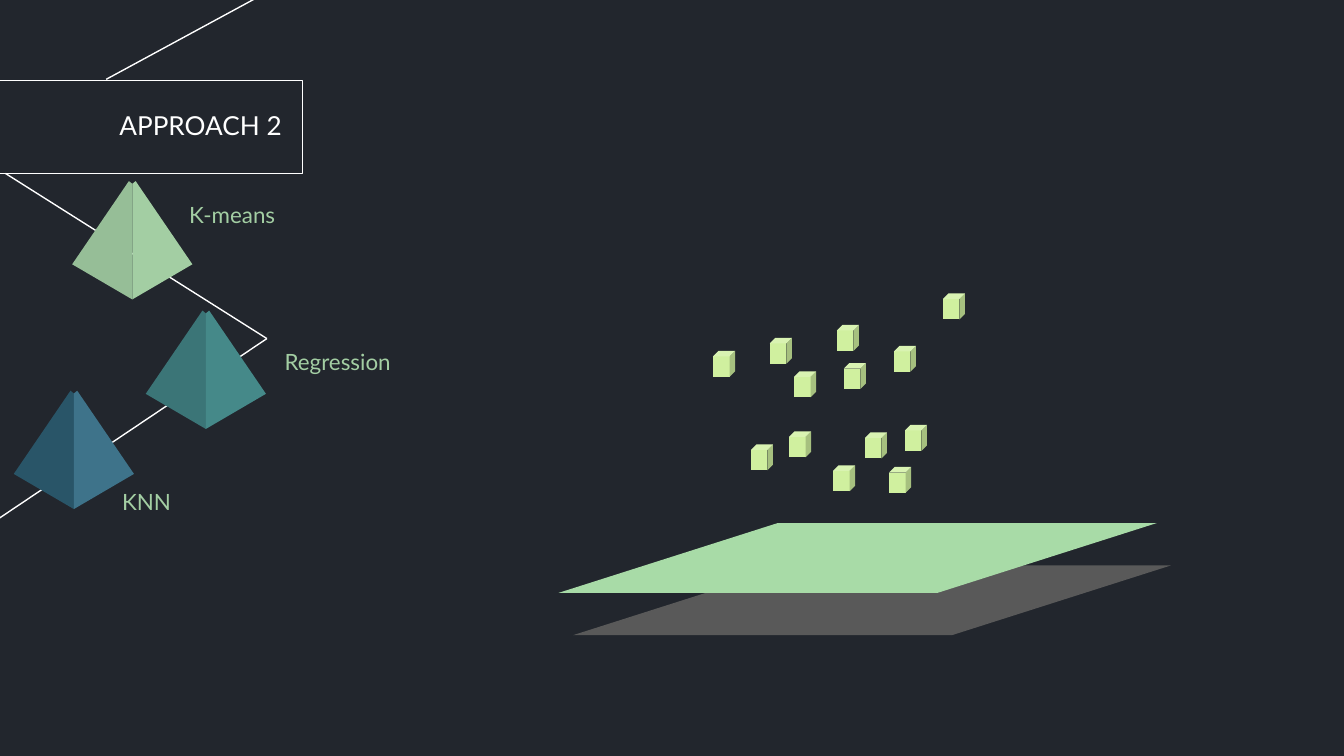
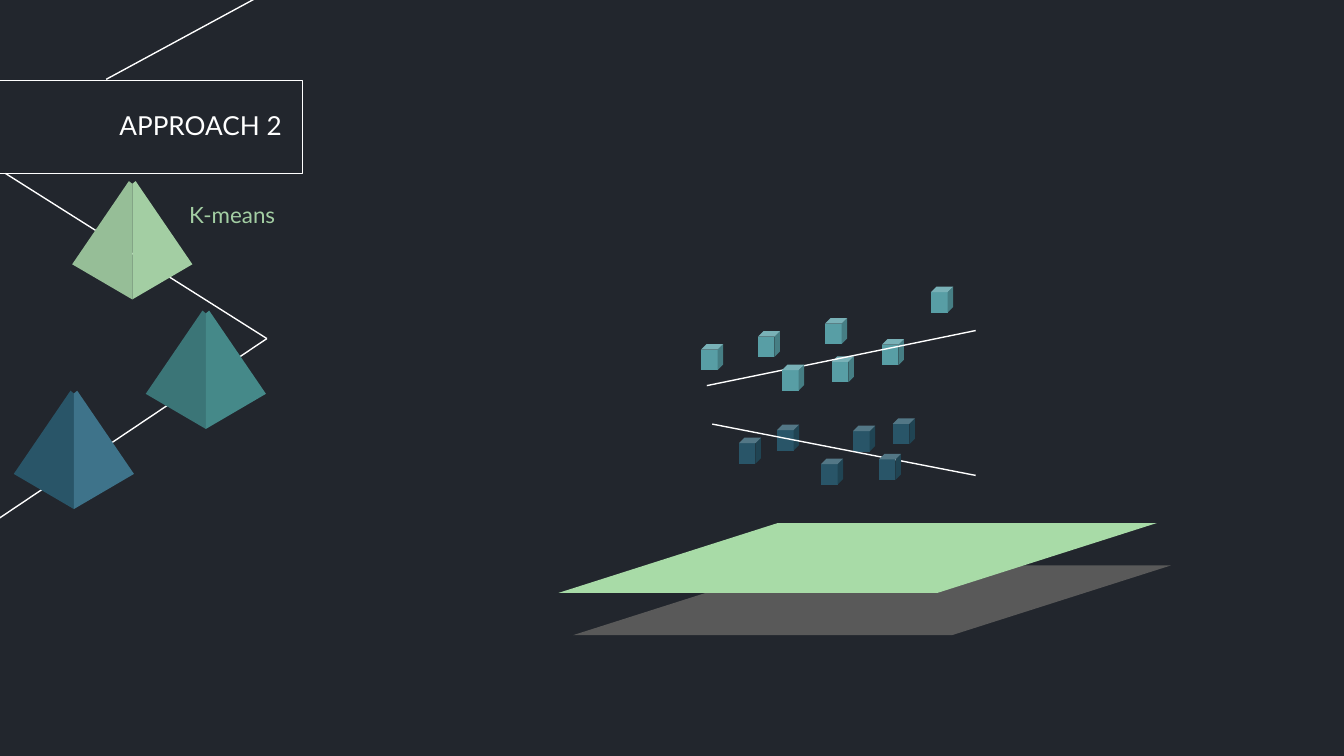
from lxml.etree import SubElement
from pptx import Presentation
from pptx.dml.color import RGBColor
from pptx.enum.shapes import MSO_CONNECTOR, MSO_SHAPE
from pptx.enum.text import MSO_ANCHOR, MSO_AUTO_SIZE
from pptx.oxml.ns import qn
from pptx.util import Pt

FONT = "Lato"
COLORS = {
    "night": "22262D", "white": "FFFFFF", "label": "A3CEA3",
    "slab": "A8DBA7", "slab_shade": "595959",
    "lime": "D0F09F", "teal": "589EA5", "navy": "295568",
    "kmeans_left": "96BE97", "kmeans_right": "A3CEA3",
    "regression_left": "3B7577", "regression_right": "458989",
    "knn_left": "295568", "knn_right": "3E738A",
}

PATH_LINES = [
    ((2.9, 92.9), (143, 181.4)),
    ((143, 181.4), (-59.8, 317.5)),
    ((146, -5.8), (56.9, 42.5)),
]
PYRAMIDS = [("kmeans", 70.9, 97), ("regression", 110.3, 166.4), ("knn", 39.6, 209.3)]
PYRAMID_FACE = [(1.8, 0), (32.2, 44.6), (0, 63.4), (0, 1.5)]
LABELS = [("K-means", 94.3, 104.4), ("Regression", 145.4, 182.9), ("KNN", 58.3, 257.8)]

UPPER_CUBES = [(382, 188), (412.5, 181), (448.4, 174.1), (452.1, 194.5),
               (505.2, 157.2), (478.9, 185.3)]
UPPER_FRONT = (425.4, 199)
LOWER_CUBES = [(463.4, 231.7), (484.8, 227.7), (422.7, 231.1), (402.3, 238.1),
               (446.3, 249.3)]
LOWER_FRONT = (476.3, 250.2)
LOWER_FRONT_FITTED = (470.9, 243.2)
FITTED_SHIFT = (-6.4, -3.6)
UPPER_TREND = ((378.7, 206.6), (522.7, 177.1))
LOWER_TREND = ((381.6, 227.2), (522.7, 254.7))


def color(name):
    """Return the named colour."""
    return RGBColor.from_string(COLORS[name])


def paint(shape, fill):
    """Give a shape a flat fill with no outline or shadow."""
    shape.shadow.inherit = False
    shape.fill.solid()
    shape.fill.fore_color.rgb = color(fill)
    shape.line.fill.background()


def add_line(page, start, end):
    """Draw a thin white line between two points."""
    line = page.shapes.add_connector(
        MSO_CONNECTOR.STRAIGHT, *(Pt(value) for value in start + end))
    line.line.color.rgb = color("white")
    line.line.width = Pt(0.75)
    SubElement(line._element.spPr, qn("a:effectLst"))


def add_text(page, text, left, top, width, height, size, shade):
    """Add a one-line text box and return it."""
    box = page.shapes.add_textbox(Pt(left), Pt(top), Pt(width), Pt(height))
    box.text_frame.word_wrap = True
    span = box.text_frame.paragraphs[0].add_run()
    span.text = text
    span.font.name = FONT
    span.font.size = Pt(size)
    span.font.color.rgb = color(shade)
    return box


def add_label(page, text, left, top):
    """Name a pyramid."""
    box = add_text(page, text, left, top, 91.4, 21.6, 12, "label")
    box.text_frame.auto_size = MSO_AUTO_SIZE.SHAPE_TO_FIT_TEXT


def add_title(page, text):
    """Add the outlined banner and its title."""
    banner = page.shapes.add_shape(
        MSO_SHAPE.RECTANGLE, Pt(-7.2), Pt(43), Pt(169.3), Pt(49.9))
    banner.shadow.inherit = False
    banner.fill.background()
    banner.line.color.rgb = color("white")
    banner.line.width = Pt(0.75)
    frame = add_text(page, text, 56.9, 29.9, 105.1, 74.2, 14, "white").text_frame
    frame.vertical_anchor = MSO_ANCHOR.MIDDLE
    frame.margin_top = frame.margin_bottom = Pt(7.2)


def add_slab(page, left, top, fill):
    """Add a flat slanted slab."""
    slab = page.shapes.add_shape(
        MSO_SHAPE.PARALLELOGRAM, Pt(left), Pt(top), Pt(320.4), Pt(37.4))
    slab.adjustments[0] = 3.139
    paint(slab, fill)


def add_cubes(page, points, fill, shift=(0, 0)):
    """Add one data cube at each shifted point."""
    for left, top in points:
        cube = page.shapes.add_shape(
            MSO_SHAPE.CUBE, Pt(left + shift[0]), Pt(top + shift[1]),
            Pt(11.8), Pt(13.9))
        paint(cube, fill)


def add_pyramid(page, name, center, top):
    """Add a pyramid from two mirrored faces."""
    for side, sign in (("left", -1), ("right", 1)):
        points = [(Pt(center + sign * x), Pt(top + y)) for x, y in PYRAMID_FACE]
        outline = page.shapes.build_freeform(*points[0])
        outline.add_line_segments(points[1:], close=True)
        paint(outline.convert_to_shape(), f"{name}_{side}")


def add_page(deck, labels):
    """Add a page with the title, method path, pyramids and slabs."""
    page = deck.slides.add_slide(deck.slide_layouts[6])
    page.background.fill.solid()
    page.background.fill.fore_color.rgb = color("night")
    add_title(page, "APPROACH 2")
    add_slab(page, 306.9, 302.9, "slab_shade")
    add_slab(page, 299.3, 280.2, "slab")
    for start, end in PATH_LINES:
        add_line(page, start, end)
    for name, center, top in PYRAMIDS:
        add_pyramid(page, name, center, top)
    for text, left, top in labels:
        add_label(page, text, left, top)
    return page


def main():
    """Build both pages and save the deck."""
    deck = Presentation()
    deck.slide_width, deck.slide_height = Pt(720), Pt(405)

    page = add_page(deck, LABELS)
    add_cubes(page, UPPER_CUBES + [UPPER_FRONT] + LOWER_CUBES + [LOWER_FRONT], "lime")

    page = add_page(deck, LABELS[:1])
    add_cubes(page, UPPER_CUBES, "teal", FITTED_SHIFT)
    add_cubes(page, LOWER_CUBES, "navy", FITTED_SHIFT)
    add_line(page, *UPPER_TREND)
    add_cubes(page, [UPPER_FRONT], "teal", FITTED_SHIFT)
    add_line(page, *LOWER_TREND)
    add_cubes(page, [LOWER_FRONT_FITTED], "navy")

    deck.save("out.pptx")


if __name__ == "__main__":
    main()
